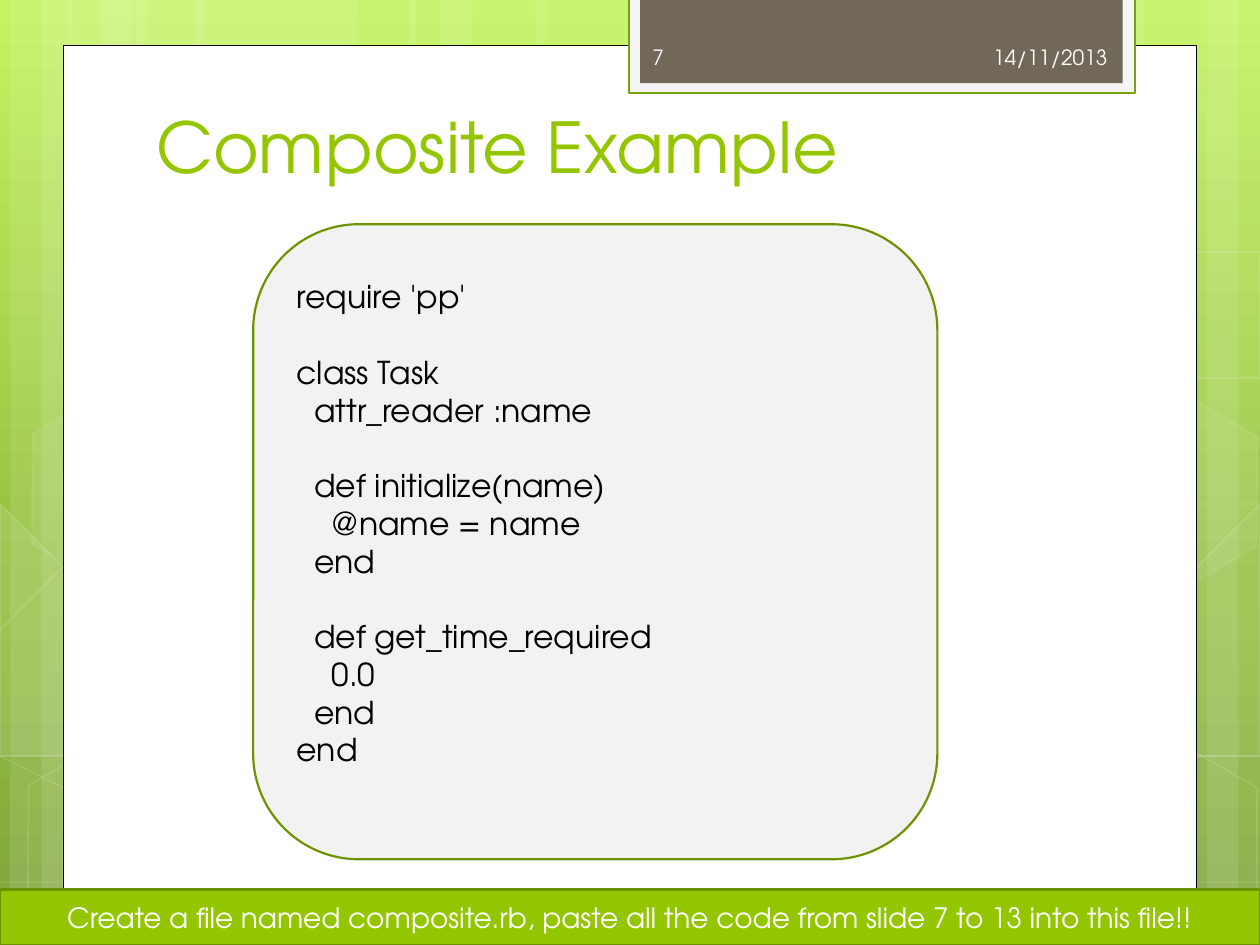
import copy
import dataclasses

import pptx
import pptx.dml.color
import pptx.enum.shapes
import pptx.enum.text
import pptx.oxml
import pptx.oxml.ns
import pptx.util

SHAPE = pptx.enum.shapes.MSO_SHAPE
ALIGN = pptx.enum.text.PP_ALIGN
ANCHOR = pptx.enum.text.MSO_ANCHOR

# The slide is a grid of square cells; all lengths are columns and rows
COLUMNS, ROWS = 10, 7.5
CELL = pptx.util.Inches(1)


@dataclasses.dataclass(frozen=True)
class Theme:
    font: str = "TeX Gyre Adventor"
    title_size: int = 40
    code_size: int = 18
    banner_size: int = 16
    tab_size: int = 12
    code_line: float = 21.5
    outline: float = 1.25
    green: str = "94C600"
    dark_green: str = "6D9200"
    tab_green: str = "74A510"
    brown: str = "71685A"
    tab_edge: str = "F5F5F5"
    code_fill: str = "F2F2F2"
    white: str = "FFFFFF"
    off_white: str = "FEFEFE"
    black: str = "000000"
    backdrop: tuple = ((0, "C3F35F"), (0.62, "93BF3F"), (1, "81A53E"))


THEME = Theme()

# Left edge and width of each full-height stripe
STRIPES = [
    (1.08, 1.75), (0.08, 0.5), (0.33, 0.83),
    (1.55, 1.75), (0.55, 0.5), (0.8, 0.83),
    (7.33, 1.75), (9.58, 0.5), (9, 0.83),
    (4.25, 3.08), (3.25, 0.5), (3.5, 0.83),
]
# Faint lines that sweep behind the page
SWEEPS = [
    [(0.07, 6.73), (1.9, 6.78), (4.58, 6.65), (7.92, 6.17), (10.07, 5.51)],
    [(0.07, 4.77), (1.21, 4.31), (3.47, 3.87), (6.54, 3.87), (10.07, 4.34)],
    [(0.06, 6.17), (1.6, 6.85), (3.34, 7.49)],
    [(0.07, 5.78), (1.28, 6.16), (3.57, 6.73), (6.28, 7.18), (8.53, 7.36),
     (9.45, 7.38), (10.07, 7.34)],
    [(2.42, 7.49), (3.02, 6.91), (3.88, 6.39), (4.7, 6.09), (6.08, 5.78),
     (7.94, 5.62), (9.53, 5.62), (10.06, 5.66)],
]
# Left, top, fill opacity and line opacity
HEXAGONS = [
    (0.11, 5.91, 0, 12), (0.14, 3.12, 7, 8),
    (8.34, 5.93, 0, 12), (8.34, 3.14, 7, 8),
]
# Hexagons cut by the slide edge: corners and fill opacity
CUT_HEXAGONS = [
    ([(0.08, 4.45), (0.19, 4.38), (0.96, 4.82), (0.95, 5.7), (0.2, 6.14),
      (0.08, 6.07)], 10),
    ([(9.26, 4.85), (10.01, 4.41), (10.09, 4.46), (10.09, 6.13),
      (10.02, 6.17), (9.26, 5.73)], 4),
    ([(9.26, 2.07), (10.01, 1.63), (10.1, 1.68), (10.09, 3.35),
      (10.02, 3.39), (9.26, 2.95)], 0),
]
# Indent level, text and whether a gap comes before the line
CODE = [
    (0, "require 'pp'", False),
    (0, "class Task", True),
    (1, "attr_reader :name", False),
    (1, "def initialize(name)", True),
    (2, "@name = name", False),
    (1, "end", False),
    (1, "def get_time_required", True),
    (2, "0.0", False),
    (1, "end", False),
    (0, "end", False),
]
CODE_INDENT = 0.14


def grid(*cells):
    return [round(cell * CELL) for cell in cells]


def rgb(color):
    return pptx.dml.color.RGBColor.from_string(color)


def paint(fill, color, opacity=100):
    if not color or not opacity:
        fill.background()
        return
    fill.solid()
    fill.fore_color.rgb = rgb(color)


def fade(shape, fill_opacity, line_opacity=100):
    properties = shape.element.spPr
    for route, opacity in (("a:solidFill", fill_opacity),
                           ("a:ln/a:solidFill", line_opacity)):
        for color in properties.xpath(route + "/a:srgbClr"):
            alpha = pptx.oxml.parse_xml(
                f'<a:alpha {pptx.oxml.ns.nsdecls("a")} val="{opacity * 1000}"/>')
            color.append(alpha)


def style(shape, fill, line=None, width=1, fill_opacity=100, line_opacity=100):
    shape.shadow.inherit = False
    paint(shape.fill, fill, fill_opacity)
    paint(shape.line.fill, line)
    if line:
        shape.line.width = pptx.util.Pt(width)
    if fill_opacity < 100 or line_opacity < 100:
        fade(shape, fill_opacity, line_opacity)
    return shape


def add_block(slide, kind, place, fill, line=None, width=1, **opacity):
    block = slide.shapes.add_shape(kind, *grid(*place))
    return style(block, fill, line, width, **opacity)


def add_outline(slide, points, close, fill, width, **opacity):
    builder = slide.shapes.build_freeform(*points[0], scale=float(CELL))
    builder.add_line_segments(points[1:], close=close)
    return style(builder.convert_to_shape(), fill, THEME.white, width, **opacity)


def format_line(paragraph, text, size, color, align=ALIGN.LEFT):
    paragraph.text = text
    paragraph.alignment = align
    paragraph.font.name = THEME.font
    paragraph.font.size = pptx.util.Pt(size)
    paragraph.font.color.rgb = rgb(color)


def write(shape, text, size, color, align=ALIGN.LEFT, anchor=ANCHOR.MIDDLE):
    frame = shape.text_frame
    frame.word_wrap = True
    frame.vertical_anchor = anchor
    format_line(frame.paragraphs[0], text, size, color, align)


def add_backdrop(slide):
    fill = slide.background.fill
    fill.gradient()
    fill.gradient_angle = 270
    stops = slide.element.xpath(".//p:bg//a:gsLst")[0]
    stops.append(copy.deepcopy(stops[0]))
    for stop, (position, color) in zip(fill.gradient_stops, THEME.backdrop):
        stop.position = position
        stop.color.rgb = rgb(color)

    for left, width in STRIPES:
        add_block(slide, SHAPE.RECTANGLE, (left, 0, width, ROWS),
                  THEME.white, fill_opacity=10)
    for points in SWEEPS:
        add_outline(slide, points, False, None, 0.5, line_opacity=20)
    for left, top, fill_opacity, line_opacity in HEXAGONS:
        hexagon = add_block(slide, SHAPE.HEXAGON, (left, top, 1.75, 1.52),
                            THEME.white, THEME.white,
                            fill_opacity=fill_opacity, line_opacity=line_opacity)
        hexagon.adjustments[0] = 0.285
        hexagon.rotation = 30
    for points, fill_opacity in CUT_HEXAGONS:
        add_outline(slide, points, True, THEME.white, 1,
                    fill_opacity=fill_opacity, line_opacity=12)


def add_page(slide):
    add_block(slide, SHAPE.RECTANGLE, (0.5, 0.36, 9, 6.76),
              THEME.white, THEME.black, 0.5)
    # Tab that holds the slide number and the date
    add_block(slide, SHAPE.RECTANGLE, (4.99, -0.02, 4.02, 0.76),
              THEME.tab_edge, THEME.tab_green, THEME.outline)
    add_block(slide, SHAPE.RECTANGLE, (5.08, -0.02, 3.83, 0.68), THEME.brown)
    for left, width, text, align in ((5.08, 1.46, "7", ALIGN.LEFT),
                                     (6.56, 2.33, "14/11/2013", ALIGN.RIGHT)):
        label = slide.shapes.add_textbox(*grid(left, 0.25, width, 0.4))
        write(label, text, THEME.tab_size, THEME.off_white, align)


def place_title(slide, text):
    title = slide.shapes.title
    title.left, title.top, title.width, title.height = grid(1.14, 0.29, 7.68, 1.25)
    write(title, text, THEME.title_size, THEME.green, anchor=ANCHOR.BOTTOM)
    # Bring the title in front of the page
    slide.shapes.element.append(title.element)


def add_code(slide):
    panel = add_block(slide, SHAPE.ROUNDED_RECTANGLE, (2.01, 1.78, 5.43, 5.04),
                      THEME.code_fill, THEME.dark_green, THEME.outline)
    frame = panel.text_frame
    frame.word_wrap = True
    frame.vertical_anchor = ANCHOR.MIDDLE
    frame.margin_bottom = pptx.util.Inches(0.35)
    for number, (level, text, gap) in enumerate(CODE):
        line = frame.add_paragraph() if number else frame.paragraphs[0]
        format_line(line, text, THEME.code_size, THEME.black)
        line.space_before = pptx.util.Pt(THEME.code_line if gap else 0)
        indent = line._p.get_or_add_pPr()
        indent.set("marL", str(grid(level * CODE_INDENT)[0]))
        indent.set("indent", "0")


def add_banner(slide, text):
    banner = add_block(slide, SHAPE.RECTANGLE, (0, 7.06, COLUMNS, 0.44),
                       THEME.green, THEME.dark_green, THEME.outline)
    write(banner, text, THEME.banner_size, THEME.white, ALIGN.CENTER)


def main():
    deck = pptx.Presentation()
    deck.slide_width, deck.slide_height = grid(COLUMNS, ROWS)
    slide = deck.slides.add_slide(deck.slide_layouts[5])
    add_backdrop(slide)
    add_page(slide)
    place_title(slide, "Composite Example")
    add_code(slide)
    add_banner(slide, "Create a file named composite.rb, paste all the code "
                      "from slide 7 to 13 into this file!!")
    deck.save("out.pptx")


if __name__ == "__main__":
    main()
